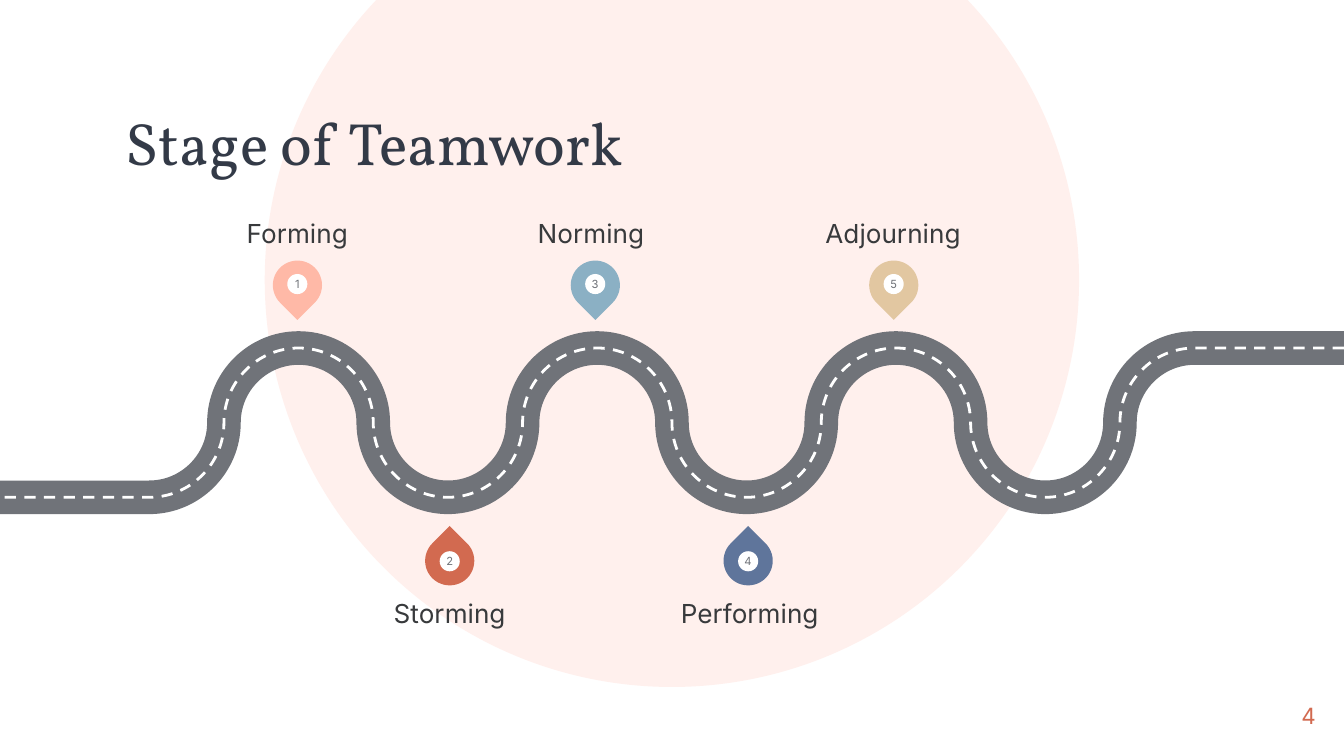
from dataclasses import dataclass

from lxml import etree
from pptx import Presentation
from pptx.dml.color import RGBColor
from pptx.enum.dml import MSO_LINE
from pptx.enum.shapes import MSO_SHAPE
from pptx.enum.text import MSO_ANCHOR, MSO_AUTO_SIZE, PP_ALIGN
from pptx.oxml.ns import qn
from pptx.util import Cm, Pt

CHORD, TEARDROP, OVAL = MSO_SHAPE.CHORD, MSO_SHAPE.TEAR, MSO_SHAPE.OVAL
TOP, MIDDLE, BOTTOM = MSO_ANCHOR.TOP, MSO_ANCHOR.MIDDLE, MSO_ANCHOR.BOTTOM
LEFT, CENTER, RIGHT = PP_ALIGN.LEFT, PP_ALIGN.CENTER, PP_ALIGN.RIGHT
DASH = MSO_LINE.DASH
NO_AUTOFIT = MSO_AUTO_SIZE.NONE

COLORS = {
    "blush": "FFF0ED", "title": "333A47", "label": "383A3C",
    "road": "707379", "white": "FFFFFF", "peach": "FFB9A7",
    "terracotta": "D26A50", "sky": "8BB0C4", "indigo": "5F759B",
    "sand": "E2C7A1",
}
FRAME_FORMAT = {
    "margin_left": 0, "margin_top": 0, "margin_right": 0, "margin_bottom": 0,
    "word_wrap": True, "auto_size": NO_AUTOFIT,
}

# All lengths below are centimetres.
SLIDE_WIDTH, SLIDE_HEIGHT = 25.4, 14.29
TURNS = 8
TURN_PITCH = SLIDE_WIDTH / (TURNS + 1)
TURN_RADIUS = TURN_PITCH / 2
ROAD_MIDDLE = 7.99
ARC_HANDLE = 0.55  # Bezier handle of a quarter circle, as a share of its radius
PIN_SIZE, BADGE_SIZE = 0.93, 0.38
LABEL_WIDTH, LABEL_HEIGHT = 3.58, 1.47


@dataclass(frozen=True)
class Side:
    """What the stages on one side of the road share."""
    pin_y: float
    badge_y: float
    rotation: int
    label_top: float
    anchor: MSO_ANCHOR


@dataclass(frozen=True)
class Stage:
    number: int
    name: str
    color: str
    pin_x: float
    label_x: float
    side: Side


ABOVE = Side(5.39, 5.37, 135, 3.23, BOTTOM)
BELOW = Side(10.6, 10.61, 315, 11.29, TOP)
STAGES = [
    Stage(1, "Forming", "peach", 5.62, 5.62, ABOVE),
    Stage(2, "Storming", "terracotta", 8.5, 8.5, BELOW),
    Stage(3, "Norming", "sky", 11.25, 11.17, ABOVE),
    Stage(4, "Performing", "indigo", 14.14, 14.17, BELOW),
    Stage(5, "Adjourning", "sand", 16.89, 16.88, ABOVE),
]


def rgb(name: str) -> RGBColor:
    return RGBColor.from_string(COLORS[name])


def write(shape, text: str, size: float, color: str, font: str = "Inter",
          align=CENTER, anchor=MIDDLE, line_spacing: float = 1.0) -> None:
    frame = shape.text_frame
    for attribute, value in FRAME_FORMAT.items():
        setattr(frame, attribute, value)
    frame.vertical_anchor = anchor
    paragraph = frame.paragraphs[0]
    paragraph.alignment = align
    paragraph.line_spacing = line_spacing
    run = paragraph.add_run()
    run.text = text
    for attribute, value in {"name": font, "size": Pt(size), "bold": False}.items():
        setattr(run.font, attribute, value)
    run.font.color.rgb = rgb(color)


def add_round(shapes, kind, x: float, y: float, size: float, color: str):
    """Add a borderless shape of equal width and height, centred on x, y."""
    shape = shapes.add_shape(kind, Cm(x - size / 2), Cm(y - size / 2),
                             Cm(size), Cm(size))
    shape.shadow.inherit = False
    shape.fill.solid()
    shape.fill.fore_color.rgb = rgb(color)
    shape.line.fill.background()
    return shape


def road_points() -> list[tuple[int, int]]:
    """List the crests, dips and midpoints of the road from right to left."""
    points = [(SLIDE_WIDTH, ROAD_MIDDLE - TURN_RADIUS)]
    for turn in range(TURNS, 0, -1):
        direction = -1 if turn % 2 == 0 else 1
        x = turn * TURN_PITCH
        points.append((x, ROAD_MIDDLE + direction * TURN_RADIUS))
        if turn > 1:
            points.append((x - TURN_RADIUS, ROAD_MIDDLE))
    points.append((0, ROAD_MIDDLE + TURN_RADIUS))
    return [(Cm(x), Cm(y)) for x, y in points]


def round_turns(road) -> None:
    """Turn every segment between the straight ends into a quarter circle."""
    segments = list(road.element.iter(qn("a:lnTo")))
    corners = [(int(point.get("x")), int(point.get("y")))
               for segment in segments for point in segment]
    for index, segment in enumerate(segments[1:-1]):
        (x1, y1), (x2, y2) = corners[index:index + 2]
        dx, dy = ARC_HANDLE * (x2 - x1), ARC_HANDLE * (y2 - y1)
        if index % 2 == 0:
            handles = [(x1 + dx, y1), (x2, y2 - dy)]
        else:
            handles = [(x1, y1 + dy), (x2 - dx, y2)]
        curve = etree.Element(qn("a:cubicBezTo"))
        for x, y in [*handles, (x2, y2)]:
            etree.SubElement(curve, qn("a:pt"), x=str(round(x)), y=str(round(y)))
        segment.getparent().replace(segment, curve)


def add_road_line(shapes, color: str, width: float, dash=None) -> None:
    start, *rest = road_points()
    builder = shapes.build_freeform(*start)
    builder.add_line_segments(rest, close=False)
    road = builder.convert_to_shape()
    round_turns(road)
    road.shadow.inherit = False
    road.fill.background()
    road.line.color.rgb = rgb(color)
    road.line.width = Pt(width)
    if dash is not None:
        road.line.dash_style = dash


def add_stage(shapes, stage: Stage) -> None:
    side = stage.side
    marker = shapes.add_group_shape().shapes
    pin = add_round(marker, TEARDROP, stage.pin_x, side.pin_y, PIN_SIZE, stage.color)
    pin.rotation = side.rotation
    badge = add_round(marker, OVAL, stage.pin_x, side.badge_y, BADGE_SIZE, "white")
    write(badge, str(stage.number), 6, "road")
    label = shapes.add_textbox(Cm(stage.label_x - LABEL_WIDTH / 2), Cm(side.label_top),
                               Cm(LABEL_WIDTH), Cm(LABEL_HEIGHT))
    write(label, stage.name, 14, "label", anchor=side.anchor)


def main() -> None:
    presentation = Presentation()
    presentation.slide_width = Cm(SLIDE_WIDTH)
    presentation.slide_height = Cm(SLIDE_HEIGHT)
    slide = presentation.slides.add_slide(presentation.slide_layouts[5])
    shapes = slide.shapes

    title = shapes.title
    title_box = {"left": 2.38, "top": 2.08, "width": 12.65, "height": 1.35}
    for attribute, value in title_box.items():
        setattr(title, attribute, Cm(value))
    write(title, "Stage of Teamwork", 32, "title", "Vollkorn", LEFT, line_spacing=0.9)

    backdrop = add_round(shapes, CHORD, SLIDE_WIDTH / 2, 5.29, 15.39, "blush")
    backdrop.adjustments[0] = 26.74
    backdrop.adjustments[1] = 189.22
    backdrop.rotation = 270
    title.element.addprevious(backdrop.element)

    page_number = shapes.add_textbox(Cm(23.35), Cm(12.98), Cm(1.52), Cm(1.09))
    write(page_number, "4", 12, "terracotta", align=RIGHT)

    add_road_line(shapes, "road", 18)
    add_road_line(shapes, "white", 1.5, DASH)
    for stage in STAGES:
        add_stage(shapes, stage)

    presentation.save("out.pptx")


if __name__ == "__main__":
    main()
